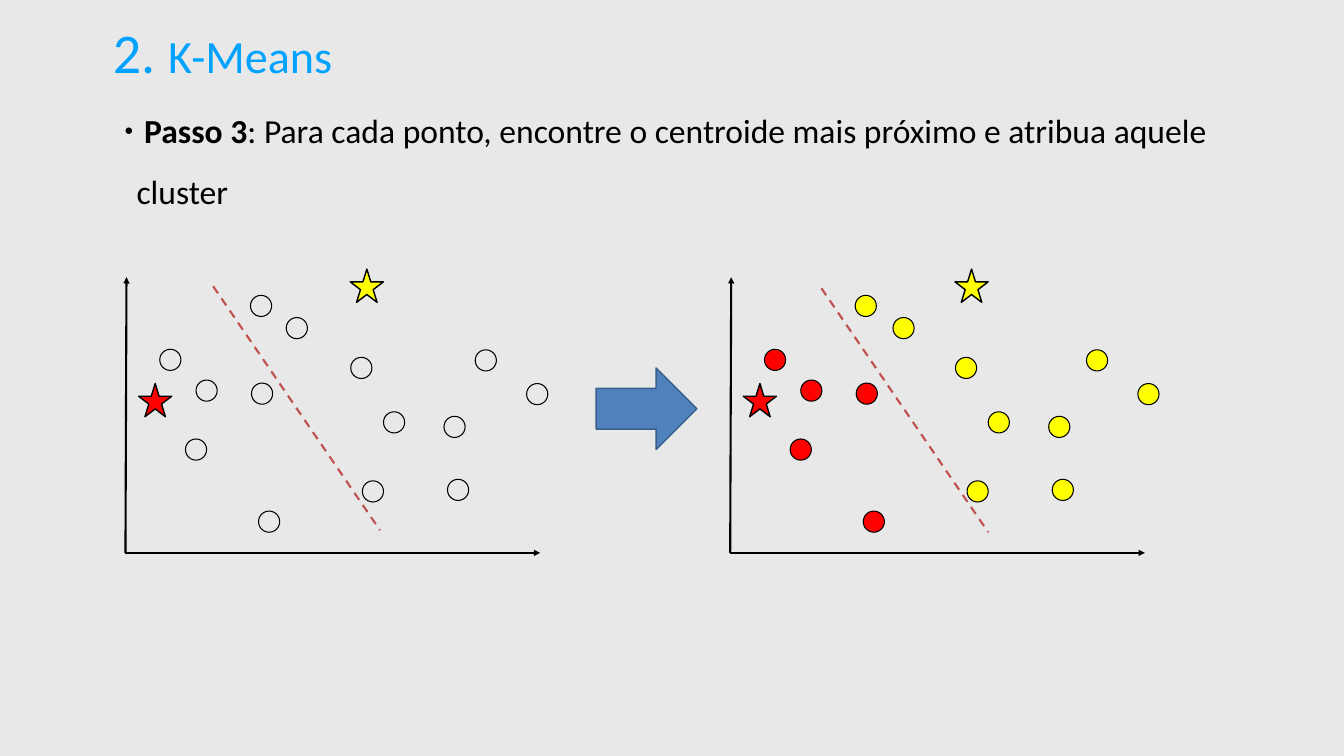
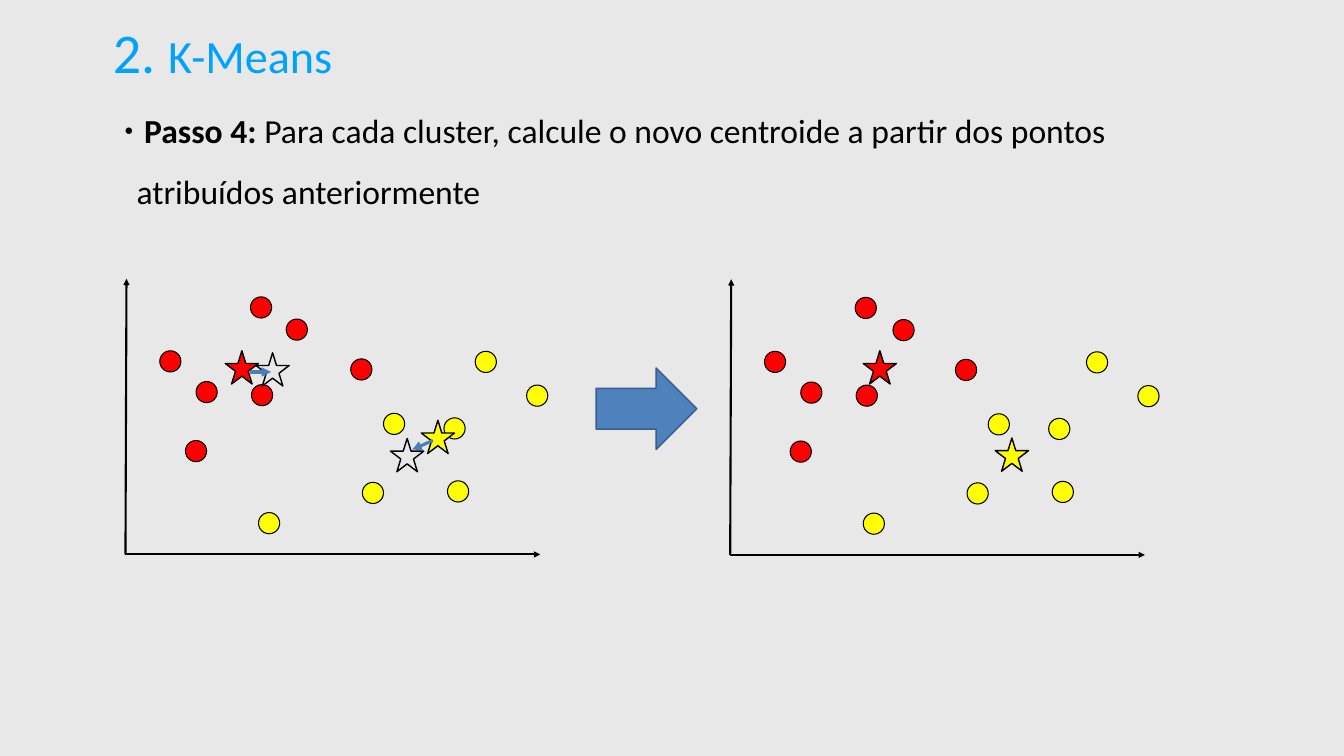
from dataclasses import dataclass

import lxml.etree
import pptx
import pptx.dml.color
import pptx.enum.dml
import pptx.enum.shapes
import pptx.enum.text
import pptx.oxml.ns
import pptx.util

Inches = pptx.util.Inches
Shape = pptx.enum.shapes.MSO_SHAPE
Point = tuple[float, float]


@dataclass(frozen=True)
class Theme:
    font: str = "Calibri"
    paper: str = "E8E8E8"
    ink: str = "000000"
    title: str = "00A2FF"
    red: str = "FF0000"
    yellow: str = "FFFF00"
    split: str = "C0504D"
    block: str = "4F81BD"
    edge: str = "3A5F8C"
    move: str = "4B7EBC"
    number: int = 80
    topic: int = 66
    body: int = 48
    thin: float = 1.5
    mid: float = 2
    thick: float = 3
    heavy: float = 4.5


@dataclass(frozen=True)
class Star:
    x: float
    y: float
    fill: str | None = None


@dataclass(frozen=True)
class Plot:
    stars: tuple[Star, ...]
    fills: str = ""
    right: bool = False
    drop: float = 0
    split: Point | None = None
    moves: tuple[tuple[Point, Point], ...] = ()


@dataclass(frozen=True)
class Step:
    label: str
    text: str
    plots: tuple[Plot, ...]


@dataclass(frozen=True)
class Span:
    text: str
    size: int
    color: str
    bold: bool = False


THEME = Theme()
DOT, STAR = 0.42, 0.66
SHIFT = 12
DOTS = (
    (3.89, 7.54), (3.17, 6.93), (4.99, 7.6), (3.68, 8.71), (5.13, 10.14),
    (8.88, 9.51), (5.68, 6.3), (7.61, 8.17), (7.19, 9.54), (9.43, 6.94),
    (8.81, 8.26), (10.45, 7.61), (4.97, 5.86), (6.96, 7.09),
)
NUDGE = {6: 0.04, 9: 0.13, 11: 0.13}
COLORS = {"R": THEME.red, "Y": THEME.yellow}

START = (Star(2.75, 7.61, THEME.red), Star(6.95, 5.34, THEME.yellow))
STEPS = (
    Step(
        "Passo 3",
        ": Para cada ponto, encontre o centroide mais próximo e atribua aquele cluster",
        (
            Plot(START, split=(4.23, 5.68)),
            Plot(START, "RRRRRYYYYYYYYY", right=True, split=(4.3, 5.72)),
        ),
    ),
    Step(
        "Passo 4: ",
        "Para cada cluster, calcule o novo centroide a partir dos pontos atribuídos anteriormente",
        (
            Plot(
                (
                    Star(4.47, 6.93, THEME.red),
                    Star(8.36, 8.31, THEME.yellow),
                    Star(7.75, 8.67),
                    Star(5.08, 6.97),
                ),
                "RRRRYYRYYYYYRR",
                drop=0.03,
                moves=(((4.97, 7.35), (5.38, 7.35)), ((8.59, 8.71), (8.18, 8.89))),
            ),
            Plot(
                (Star(5.13, 6.92, THEME.red), Star(7.75, 8.65, THEME.yellow)),
                "RRRRYYRYYYYYRR",
                right=True,
                drop=0.04,
            ),
        ),
    ),
)


def rgb(color: str) -> pptx.dml.color.RGBColor:
    return pptx.dml.color.RGBColor.from_string(color)


def add_tag(parent, name: str, **attrs: str):
    return lxml.etree.SubElement(parent, pptx.oxml.ns.qn(name), attrs)


def draw_shape(slide, kind, box: tuple[float, ...], fill: str | None,
               edge: str, width: float) -> None:
    shape = slide.shapes.add_shape(kind, *map(Inches, box))
    shape.shadow.inherit = False
    if fill:
        shape.fill.solid()
        shape.fill.fore_color.rgb = rgb(fill)
    else:
        shape.fill.background()
    shape.line.color.rgb = rgb(edge)
    shape.line.width = pptx.util.Pt(width)


def draw_line(slide, start: Point, end: Point, color: str, width: float,
              dashed: bool = False) -> None:
    line = slide.shapes.add_connector(
        pptx.enum.shapes.MSO_CONNECTOR.STRAIGHT, *map(Inches, start + end))
    line.line.color.rgb = rgb(color)
    line.line.width = pptx.util.Pt(width)
    if dashed:
        line.line.dash_style = pptx.enum.dml.MSO_LINE.DASH
    else:
        add_tag(line.line._get_or_add_ln(), "a:tailEnd", type="triangle")
    add_tag(line._element.spPr, "a:effectLst")


def draw_plot(slide, plot: Plot) -> None:
    left = SHIFT if plot.right else 0

    def place(x: float, y: float) -> Point:
        return x + left, y + plot.drop

    base = place(2.49, 10.97)
    for tip in ((2.51, 5.5), (10.72, 10.97)):
        draw_line(slide, base, place(*tip), THEME.ink, THEME.thick)
    for index, (x, y) in enumerate(DOTS):
        nudge = NUDGE.get(index, 0) if plot.right else 0
        fill = COLORS[plot.fills[index]] if plot.fills else None
        draw_shape(slide, Shape.OVAL, (*place(x + nudge, y), DOT, DOT),
                   fill, THEME.ink, THEME.thin)
    for star in plot.stars:
        draw_shape(slide, Shape.STAR_5_POINT, (*place(star.x, star.y), STAR, STAR),
                   star.fill, THEME.ink, THEME.mid)
    if plot.split:
        x, y = plot.split
        draw_line(slide, place(x, y), place(x + 3.31, y + 4.84),
                  THEME.split, THEME.thick, dashed=True)
    for start, end in plot.moves:
        draw_line(slide, place(*start), place(*end), THEME.move, THEME.heavy)


def fill_holder(holder, box: tuple[float, ...], anchor, spans: tuple[Span, ...]):
    holder.left, holder.top, holder.width, holder.height = map(Inches, box)
    frame = holder.text_frame
    frame.word_wrap = True
    frame.auto_size = pptx.enum.text.MSO_AUTO_SIZE.NONE
    frame.vertical_anchor = anchor
    frame.margin_left = frame.margin_right = Inches(0.06)
    frame.margin_top = frame.margin_bottom = Inches(0.06)
    para = frame.paragraphs[0]
    para.alignment = pptx.enum.text.PP_ALIGN.LEFT
    para.space_before = pptx.util.Pt(0)
    for span in spans:
        run = para.add_run()
        run.text = span.text
        run.font.name = THEME.font
        run.font.size = pptx.util.Pt(span.size)
        run.font.bold = span.bold
        run.font.color.rgb = rgb(span.color)
    return para


def add_bullet(para) -> None:
    props = para._p.get_or_add_pPr()
    props.set("marL", str(Inches(0.47)))
    props.set("indent", str(Inches(-0.24)))
    add_tag(add_tag(props, "a:buClr"), "a:srgbClr", val=THEME.ink)
    add_tag(props, "a:buSzPct", val="45000")
    add_tag(props, "a:buChar", char="●")
    para.line_spacing = 1.5


def draw_step(deck, step: Step) -> None:
    slide = deck.slides.add_slide(deck.slide_layouts[1])
    title, body = slide.placeholders
    anchor = pptx.enum.text.MSO_ANCHOR
    fill_holder(title, (2.18, 0.3, 15.61, 1.44), anchor.MIDDLE, (
        Span("2. ", THEME.number, THEME.title),
        Span("K-Means", THEME.topic, THEME.title),
    ))
    add_bullet(fill_holder(body, (2.18, 1.73, 21.91, 2.11), anchor.TOP, (
        Span(" ", THEME.body, THEME.ink),
        Span(step.label, THEME.body, THEME.ink, True),
        Span(step.text, THEME.body, THEME.ink),
    )))
    for plot in step.plots:
        draw_plot(slide, plot)
    draw_shape(slide, Shape.RIGHT_ARROW, (11.83, 7.3, 2, 1.62),
               THEME.block, THEME.edge, THEME.mid)


def main() -> None:
    deck = pptx.Presentation()
    deck.slide_width, deck.slide_height = Inches(26.67), Inches(15)
    paper = deck.slide_master.background.fill
    paper.solid()
    paper.fore_color.rgb = rgb(THEME.paper)
    for step in STEPS:
        draw_step(deck, step)
    deck.save("out.pptx")


if __name__ == "__main__":
    main()
